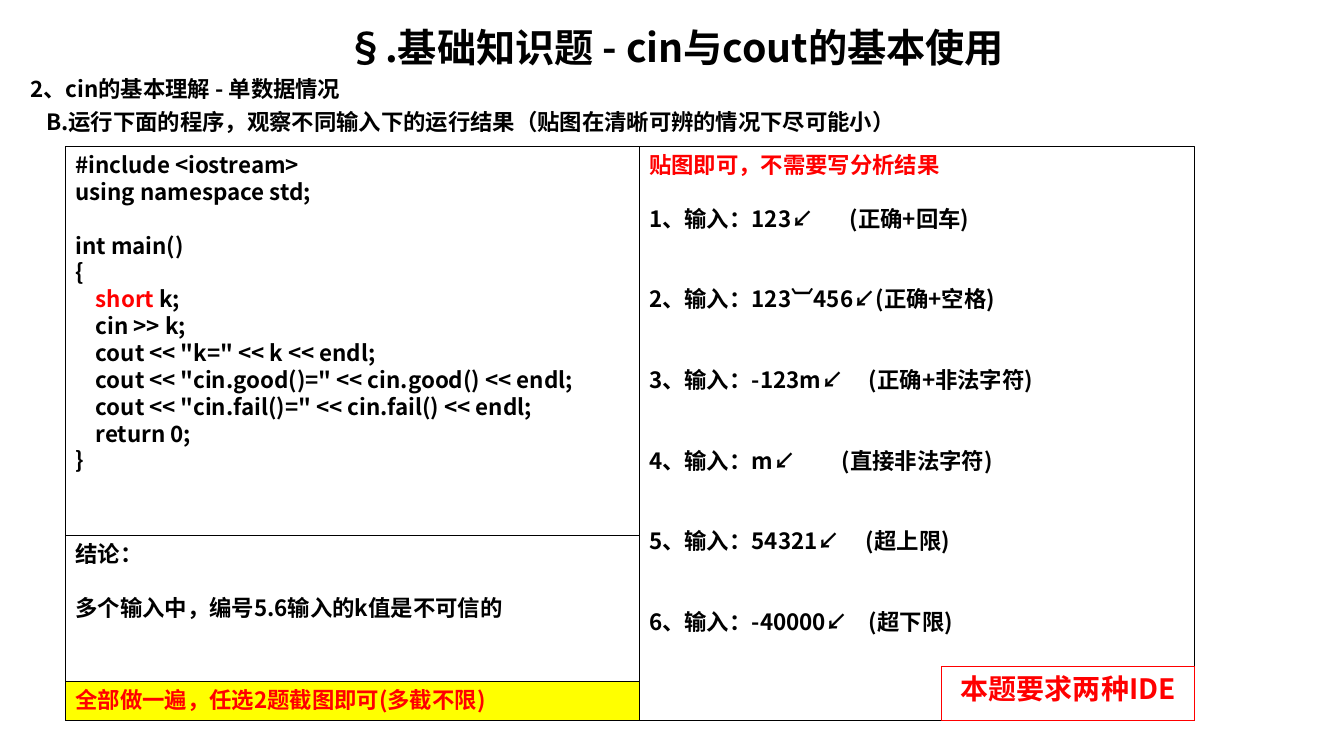
import pptx
import pptx.util
import pptx.dml.color
import pptx.enum.shapes
import pptx.enum.text
import pptx.oxml.ns
import lxml.etree
from dataclasses import dataclass

Inches, Pt = pptx.util.Inches, pptx.util.Pt
qn = pptx.oxml.ns.qn


@dataclass
class Theme:
    font: str = "Noto Sans CJK SC"
    black: str = "000000"
    red: str = "FF0000"
    yellow: str = "FFFF00"
    title: int = 28
    label: int = 20
    body: int = 16
    lead: float = 1.2
    line: float = 0.75


theme = Theme()

TITLE = "§.基础知识题 - cin与cout的基本使用"
HEADS = [
    ("2、cin的基本理解 - 单数据情况", 0),
    ("B.运行下面的程序，观察不同输入下的运行结果（贴图在清晰可辨的情况下尽可能小）", 0.16),
]
INTRO = ["#include <iostream>", "using namespace std;"]
CODE = [
    "int main()",
    "{",
    "    short k;",
    "    cin >> k;",
    '    cout << "k=" << k << endl;',
    '    cout << "cin.good()=" << cin.good() << endl;',
    '    cout << "cin.fail()=" << cin.fail() << endl;',
    "    return 0;",
    "}",
]
KEY = "short "
HINT = "贴图即可，不需要写分析结果"
INPUTS = [
    ("1、输入：123↙\t(正确+回车)", 1.99),
    ("2、输入：123︺456↙(正确+空格)", None),
    ("3、输入：-123m↙\t(正确+非法字符)", 2.18),
    ("4、输入：m↙\t(直接非法字符)", 1.91),
    ("5、输入：54321↙\t(超上限)", 2.15),
    ("6、输入：-40000↙\t(超下限)", 2.18),
]
RESULT = ["结论：", "多个输入中，编号5.6输入的k值是不可信的"]
NOTE = "全部做一遍，任选2题截图即可(多截不限)"
TOOLS = "本题要求两种IDE"

LEFT, MID, RIGHT = 0.65, 6.34, 11.85
TOP, LOW, BASE = 1.45, 5.31, 7.15
NOTE_TOP, TOOLS_LEFT, TOOLS_TOP = 6.76, 9.34, 6.61


def color(code):
    return pptx.dml.color.RGBColor.from_string(code)


def box(left, top, right, low, line=theme.black, fill=None):
    shape = slide.shapes.add_shape(
        pptx.enum.shapes.MSO_SHAPE.RECTANGLE,
        Inches(left), Inches(top), Inches(right - left), Inches(low - top))
    shape.shadow.inherit = False
    if fill:
        shape.fill.solid()
        shape.fill.fore_color.rgb = color(fill)
    else:
        shape.fill.background()
    shape.line.color.rgb = color(line)
    shape.line.width = Pt(theme.line)
    frame = shape.text_frame
    frame.word_wrap = True
    frame.vertical_anchor = pptx.enum.text.MSO_ANCHOR.TOP
    return frame


def write(frame, text, size=theme.body, ink=theme.black, gap=0,
          center=False, indent=0, tab=None, key=None):
    para = frame.paragraphs[0]
    if para.runs:
        para = frame.add_paragraph()
    props = para._p.get_or_add_pPr()
    if indent:
        props.set("marL", str(Inches(indent)))
    if tab:
        stops = lxml.etree.SubElement(props, qn("a:tabLst"))
        lxml.etree.SubElement(stops, qn("a:tab"), pos=str(Inches(tab)), algn="l")
    align = pptx.enum.text.PP_ALIGN
    para.alignment = align.CENTER if center else align.LEFT
    para.line_spacing = Pt(size * theme.lead)
    para.space_before = Pt(size * theme.lead * gap)
    parts = [(text, ink)]
    if key and key in text:
        head, tail = text.split(key)
        parts = [(head, ink), (key, theme.red), (tail, ink)]
    for words, shade in parts:
        run = para.add_run()
        run.text = words
        run.font.size = Pt(size)
        run.font.bold = True
        run.font.color.rgb = color(shade)
        run.font.name = theme.font
        lxml.etree.SubElement(run._r.rPr, qn("a:ea"), typeface=theme.font)


deck = pptx.Presentation()
deck.slide_width, deck.slide_height = Inches(13.33), Inches(7.5)
slide = deck.slides.add_slide(deck.slide_layouts[6])

header = slide.shapes.add_textbox(
    Inches(0.2), Inches(0.18), Inches(12.99), Inches(7.09)).text_frame
header.word_wrap = True
write(header, TITLE, theme.title, center=True)
for text, indent in HEADS:
    write(header, text, gap=0.2, indent=indent)

code = box(LEFT, TOP, MID, BASE)
for text in INTRO:
    write(code, text)
for num, text in enumerate(CODE):
    write(code, text, gap=0 if num else 1, key=KEY)

tests = box(MID, TOP, RIGHT, BASE)
write(tests, HINT, ink=theme.red)
for num, (text, tab) in enumerate(INPUTS):
    write(tests, text, gap=2 if num else 1, tab=tab)

tools = box(TOOLS_LEFT, TOOLS_TOP, RIGHT, BASE, theme.red)
write(tools, TOOLS, theme.label, theme.red, center=True)

result = box(LEFT, LOW, MID, BASE)
for num, text in enumerate(RESULT):
    write(result, text, gap=num)

note = box(LEFT, NOTE_TOP, MID, BASE, fill=theme.yellow)
write(note, NOTE, ink=theme.red)

deck.save("out.pptx")
